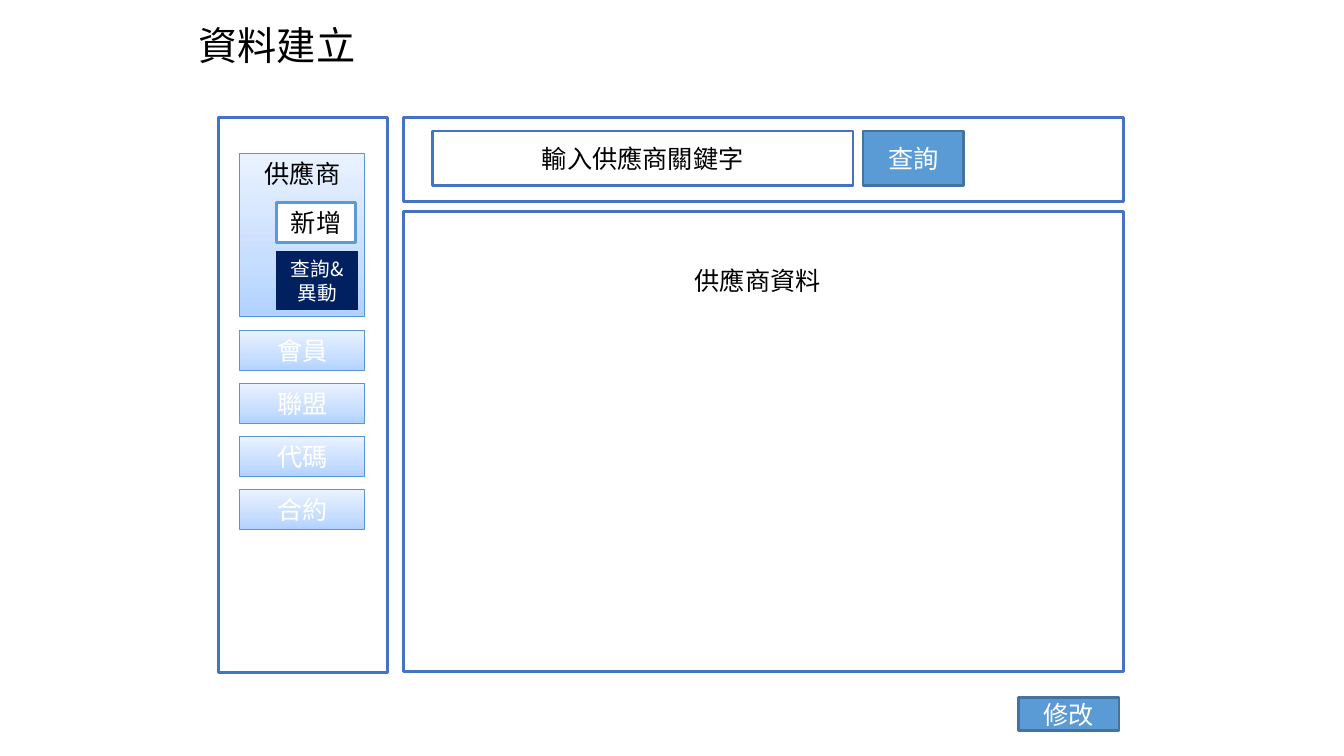
from copy import deepcopy
from lxml.etree import SubElement
from pptx import Presentation
from pptx.dml.color import RGBColor
from pptx.enum.shapes import MSO_SHAPE
from pptx.enum.text import MSO_ANCHOR, MSO_AUTO_SIZE, PP_ALIGN
from pptx.oxml.ns import qn
from pptx.util import Inches, Pt

FONT = "Noto Sans CJK SC"
BLACK, WHITE, NAVY = "000000", "FFFFFF", "002060"
GRADIENT = [(0, "B0D2FF"), (0.35, "C7DEFF"), (1, "EAF2FF")]
STYLES = {
    "panel": (WHITE, "4472C4", 2, BLACK, 18),
    "option": (WHITE, "5B9BD5", 2, BLACK, 18),
    "selected": (NAVY, NAVY, 0.75, WHITE, 14),
    "button": ("5B9BD5", "43739E", 2, WHITE, 18),
    "open menu": (GRADIENT, "5698D3", 0.75, BLACK, 18),
    "menu": (GRADIENT, "5698D3", 0.75, WHITE, 18),
    "label": (None, None, 0, BLACK, 18),
}
TOP, MIDDLE = MSO_ANCHOR.TOP, MSO_ANCHOR.MIDDLE
TITLE = "資料建立"
MENU = ["會員", "聯盟", "代碼", "合約"]
MENU_LEFT, MENU_WIDTH, MENU_TOP, MENU_STEP = 2.38, 1.24, 3.28, 0.525
BOXES = [
    ("panel", "", (2.17, 1.17, 1.67, 5.5), MIDDLE),
    ("open menu", "供應商", (MENU_LEFT, 1.52, MENU_WIDTH, 1.62), TOP),
    ("option", "新增", (2.74, 2.01, 0.79, 0.4), MIDDLE),
    ("selected", "查詢&異動", (2.74, 2.5, 0.81, 0.57), TOP),
    ("panel", "", (4, 1.17, 7.14, 0.83), MIDDLE),
    ("panel", "", (4, 2.1, 7.14, 4.56), MIDDLE),
    ("panel", "輸入供應商關鍵字", (4.29, 1.3, 4.17, 0.54), MIDDLE),
    ("button", "查詢", (8.56, 1.3, 1, 0.54), MIDDLE),
    ("label", "供應商資料", (6.34, 2.58, 2.35, 0.4), MIDDLE),
    ("button", "修改", (10.1, 6.92, 1, 0.33), MIDDLE),
]
BOXES += [("menu", name, (MENU_LEFT, MENU_TOP + i * MENU_STEP, MENU_WIDTH, 0.4), MIDDLE)
          for i, name in enumerate(MENU)]


def rgb(value):
    return RGBColor.from_string(value)


def write(tf, text, size, color, align, anchor):
    for key, value in {"word_wrap": True, "auto_size": MSO_AUTO_SIZE.NONE,
                       "vertical_anchor": anchor}.items():
        setattr(tf, key, value)
    p = tf.paragraphs[0]
    p.alignment = align
    r = p.add_run()
    r.text = text
    r.font.color.rgb = rgb(color)
    for key, value in {"size": Pt(size), "name": FONT}.items():
        setattr(r.font, key, value)
    SubElement(r.font._element, qn("a:ea"), typeface=FONT)
    return p


def paint(sp, fill):
    if isinstance(fill, str):
        sp.fill.solid()
        sp.fill.fore_color.rgb = rgb(fill)
        return
    sp.fill.gradient()
    sp.fill.gradient_angle = 90
    stops = next(sp._element.iter(qn("a:gsLst")))
    stops.append(deepcopy(stops[-1]))
    for stop, (position, color) in zip(sp.fill.gradient_stops, fill):
        stop.position = position
        stop.color.rgb = rgb(color)


def add_box(s, style, text, place, anchor):
    fill, line, width, color, size = STYLES[style]
    place = [Inches(v) for v in place]
    if fill is None:
        sp = s.shapes.add_textbox(*place)
    else:
        sp = s.shapes.add_shape(MSO_SHAPE.RECTANGLE, *place)
        sp.shadow.inherit = False
        paint(sp, fill)
        sp.line.color.rgb = rgb(line)
        sp.line.width = Pt(width)
    if text:
        write(sp.text_frame, text, size, color, PP_ALIGN.CENTER, anchor)


def add_title(s):
    title = s.shapes.title
    for key, value in zip(("left", "top", "width", "height"), (1.92, 0.17, 9, 0.6)):
        setattr(title, key, Inches(value))
    tf = title.text_frame
    for side in ("left", "top", "right", "bottom"):
        setattr(tf, f"margin_{side}", Inches(0.05))
    write(tf, TITLE, 28, BLACK, PP_ALIGN.LEFT, MIDDLE).line_spacing = 0.9


def main():
    prs = Presentation()
    prs.slide_width, prs.slide_height = Inches(13.33), Inches(7.5)
    s = prs.slides.add_slide(prs.slide_layouts[5])
    add_title(s)
    for box in BOXES:
        add_box(s, *box)
    prs.save("out.pptx")


if __name__ == "__main__":
    main()
